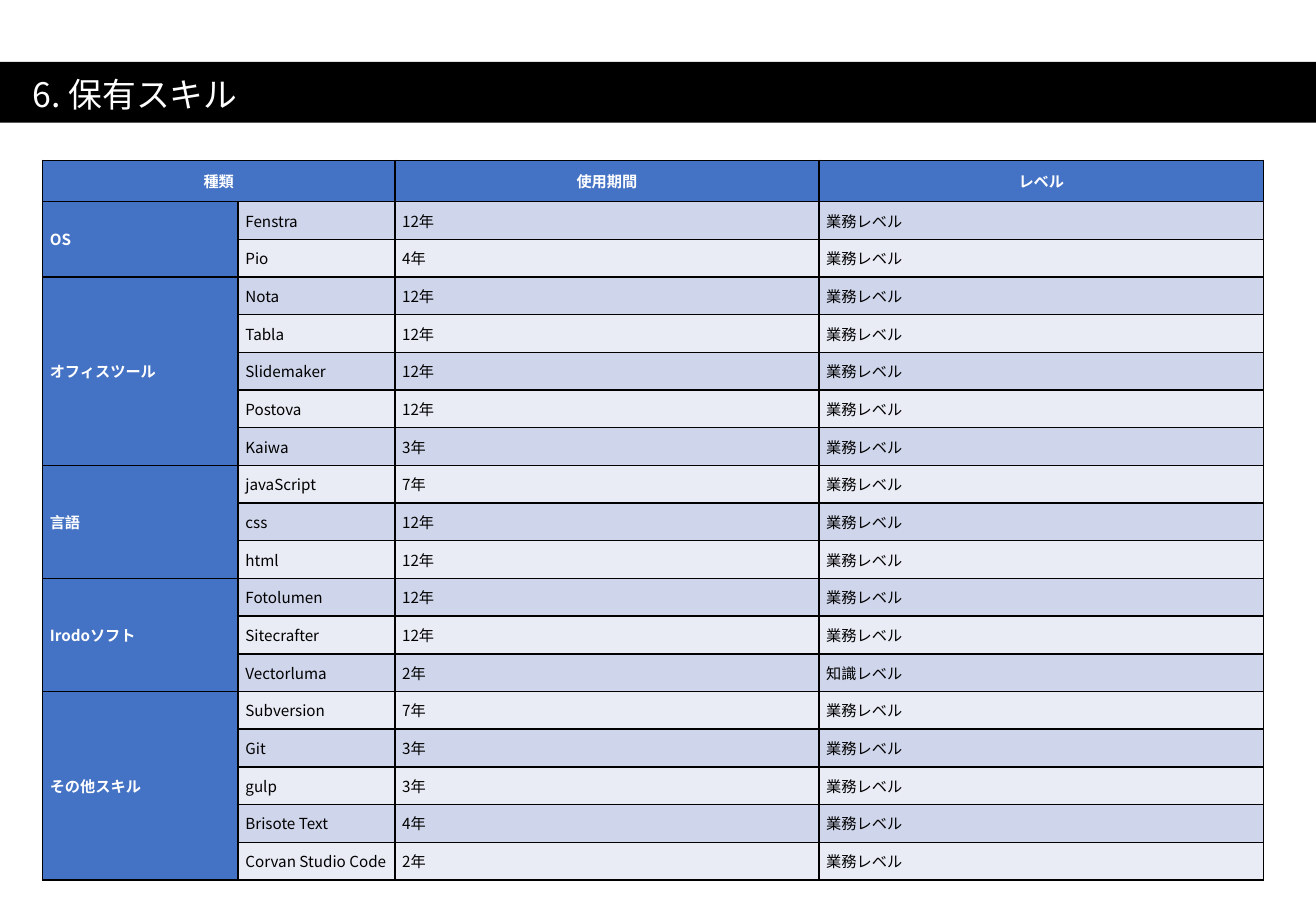
from dataclasses import dataclass

from lxml import etree
from pptx import Presentation
from pptx.dml.color import RGBColor
from pptx.enum.shapes import MSO_SHAPE
from pptx.enum.text import MSO_ANCHOR, PP_ALIGN
from pptx.oxml.ns import qn
from pptx.util import Inches, Pt

RECTANGLE = MSO_SHAPE.RECTANGLE
MIDDLE = MSO_ANCHOR.MIDDLE
LEFT, CENTER, JUSTIFY = PP_ALIGN.LEFT, PP_ALIGN.CENTER, PP_ALIGN.JUSTIFY

GRID_COLUMNS, GRID_ROWS = 108.3, 75
BLANK_LAYOUT = 6


@dataclass(frozen=True)
class Theme:
    font: str = "Noto Sans CJK JP"
    title_size: float = 20
    table_size: float = 9
    border_width: float = 1
    dark: str = "000000"
    light: str = "FFFFFF"
    accent: str = "4472C4"
    bands: tuple = ("CFD5EA", "E9EBF5")


HEADINGS = ["種類", "", "使用期間", "レベル"]
WORK, KNOWLEDGE = "業務レベル", "知識レベル"
SKILLS = {
    "OS": [("Fenstra", 12, WORK), ("Pio", 4, WORK)],
    "オフィスツール": [
        ("Nota", 12, WORK),
        ("Tabla", 12, WORK),
        ("Slidemaker", 12, WORK),
        ("Postova", 12, WORK),
        ("Kaiwa", 3, WORK),
    ],
    "言語": [("javaScript", 7, WORK), ("css", 12, WORK), ("html", 12, WORK)],
    "Irodoソフト": [
        ("Fotolumen", 12, WORK),
        ("Sitecrafter", 12, WORK),
        ("Vectorluma", 2, KNOWLEDGE),
    ],
    "その他スキル": [
        ("Subversion", 7, WORK),
        ("Git", 3, WORK),
        ("gulp", 3, WORK),
        ("Brisote Text", 4, WORK),
        ("Corvan Studio Code", 2, WORK),
    ],
}


class SlideBuilder:
    def __init__(self, deck, theme):
        self.theme = theme
        self.column = deck.slide_width / GRID_COLUMNS
        self.row = deck.slide_height / GRID_ROWS
        self.slide = deck.slides.add_slide(deck.slide_layouts[BLANK_LAYOUT])

    def place(self, left, top, width, height):
        """Turn grid columns and rows into slide lengths."""
        return (round(left * self.column), round(top * self.row),
                round(width * self.column), round(height * self.row))

    def style_text(self, paragraph, size, color, bold=False, align=LEFT):
        paragraph.alignment = align
        font = paragraph.font
        font.name = self.theme.font
        font.size = Pt(size)
        font.bold = bold
        font.color.rgb = RGBColor.from_string(color)
        latin = paragraph._p.pPr.find(f"{qn('a:defRPr')}/{qn('a:latin')}")
        latin.addnext(latin.makeelement(qn("a:ea"), {"typeface": self.theme.font}))

    def title_bar(self, text, area):
        bar = self.slide.shapes.add_shape(RECTANGLE, *self.place(*area))
        bar.shadow.inherit = False
        bar.fill.solid()
        bar.fill.fore_color.rgb = RGBColor.from_string(self.theme.dark)
        bar.line.fill.background()
        frame = bar.text_frame
        frame.word_wrap = True
        frame.vertical_anchor = MIDDLE
        frame.margin_left, frame.margin_right = Inches(0.27), Inches(0.1)
        frame.margin_top, frame.margin_bottom = Inches(0.12), Inches(0.05)
        paragraph = frame.paragraphs[0]
        paragraph.text = text
        paragraph.line_spacing = 0.9
        self.style_text(paragraph, self.theme.title_size, self.theme.light)

    def border(self, cell):
        properties = cell._tc.get_or_add_tcPr()
        for side in ("a:lnL", "a:lnR", "a:lnT", "a:lnB"):
            line = etree.SubElement(properties, qn(side),
                                    w=str(Pt(self.theme.border_width)))
            fill = etree.SubElement(line, qn("a:solidFill"))
            etree.SubElement(fill, qn("a:srgbClr"), val=self.theme.dark)

    def fill_cell(self, cell, text, fill, heading, align):
        cell.margin_left = cell.margin_right = Inches(0.06)
        cell.margin_top = cell.margin_bottom = 0
        cell.vertical_anchor = MIDDLE
        self.border(cell)
        cell.fill.solid()
        cell.fill.fore_color.rgb = RGBColor.from_string(fill)
        paragraph = cell.text_frame.paragraphs[0]
        paragraph.text = text
        color = self.theme.light if heading else self.theme.dark
        self.style_text(paragraph, self.theme.table_size, color, heading, align)

    def skill_table(self, headings, groups, area, widths, header_height):
        skill_count = sum(len(skills) for skills in groups.values())
        frame = self.slide.shapes.add_table(
            skill_count + 1, len(headings), *self.place(*area))
        table = frame.table
        table.first_row = table.horz_banding = False
        for column, width in zip(table.columns, widths):
            column.width = round(width * self.column)
        skill_height = (area[3] - header_height) / skill_count
        for index, row in enumerate(table.rows):
            row.height = round((skill_height if index else header_height) * self.row)

        for column, heading in enumerate(headings):
            self.fill_cell(table.cell(0, column), heading, self.theme.accent, True, CENTER)
        table.cell(0, 0).merge(table.cell(0, 1))

        row = 1
        for group, skills in groups.items():
            first = row
            for name, years, level in skills:
                band = self.theme.bands[(row - 1) % 2]
                label = group if row == first else ""
                self.fill_cell(table.cell(row, 0), label, self.theme.accent, True, JUSTIFY)
                self.fill_cell(table.cell(row, 1), name, band, False, JUSTIFY)
                self.fill_cell(table.cell(row, 2), f"{years}年", band, False, LEFT)
                self.fill_cell(table.cell(row, 3), level, band, False, LEFT)
                row += 1
            table.cell(first, 0).merge(table.cell(row - 1, 0))


def main():
    deck = Presentation()
    deck.slide_width, deck.slide_height = Inches(10.83), Inches(7.5)
    page = SlideBuilder(deck, Theme())
    page.skill_table(HEADINGS, SKILLS, area=(3.5, 13.2, 100.5, 59.3),
                     widths=(16.1, 12.9, 34.9, 36.6), header_height=3.4)
    page.title_bar("6. 保有スキル", area=(0, 5.1, GRID_COLUMNS, 5))
    deck.save("out.pptx")


if __name__ == "__main__":
    main()
